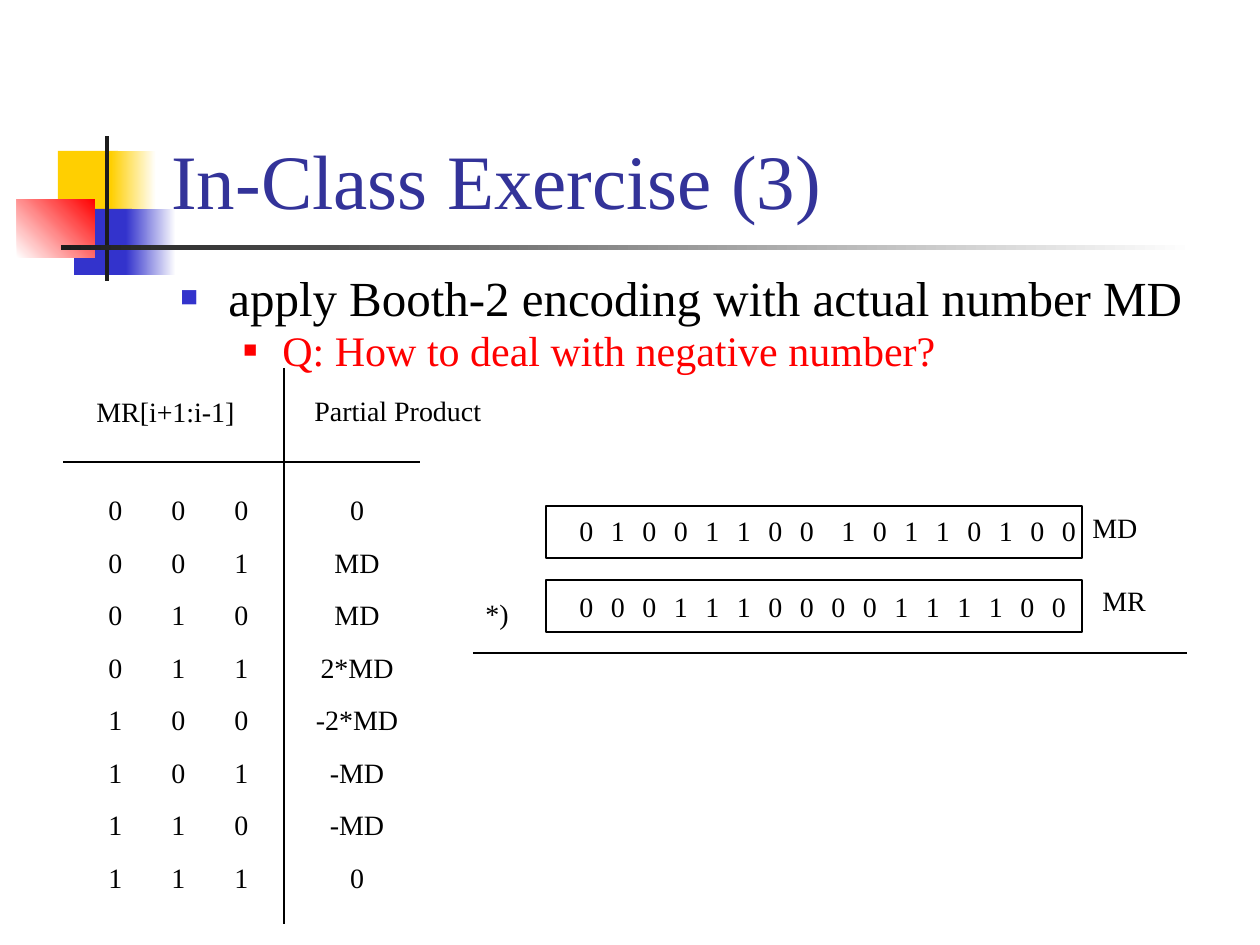
from dataclasses import dataclass

from lxml import etree
from pptx import Presentation
from pptx.dml.color import RGBColor
from pptx.enum.shapes import MSO_CONNECTOR, MSO_SHAPE
from pptx.enum.text import MSO_ANCHOR, PP_ALIGN
from pptx.oxml.ns import qn
from pptx.util import Pt

SCALE = 914400 / 126  # EMU per px
RECTANGLE = MSO_SHAPE.RECTANGLE
STRAIGHT = MSO_CONNECTOR.STRAIGHT
TOP, MIDDLE, BOTTOM = MSO_ANCHOR.TOP, MSO_ANCHOR.MIDDLE, MSO_ANCHOR.BOTTOM
LEFT, CENTER = PP_ALIGN.LEFT, PP_ALIGN.CENTER


@dataclass(frozen=True)
class Theme:
    font: str = "Times New Roman"
    white: str = "FFFFFF"
    black: str = "000000"
    title: str = "333399"
    yellow: str = "FFCF01"
    blue: str = "3333CC"
    red: str = "FF0000"
    bar: str = "1C1C1C"
    title_size: int = 44
    body_size: int = 28
    question_size: int = 24
    label_size: int = 16
    line_width: float = 0.75


THEME = Theme()

# Left, top, width, height, colours from start to end, angle
ORNAMENT = [
    (58, 151, 60, 66, [THEME.yellow], 0),
    (111, 151, 45, 66, [THEME.yellow, THEME.white], 0),
    (74, 209, 58, 66, [THEME.blue], 0),
    (126, 209, 50, 66, [THEME.blue, THEME.white], 0),
    (17, 199, 78, 59, [THEME.white, THEME.red], 45),
    (105, 136, 4, 145, [THEME.bar], 0),
    (61, 245, 1134, 5, [THEME.bar, THEME.white], 0),
]

# Text, size, text colour, bullet colour, bullet size in %, left margin, hanging
BODY = [
    ("apply Booth-2 encoding with actual number MD",
     THEME.body_size, THEME.black, THEME.blue, 60, 48, 48),
    ("Q: How to deal with negative number?",
     THEME.question_size, THEME.red, THEME.red, 55, 102, 39),
]

PARTIAL_PRODUCTS = ["0", "MD", "MD", "2*MD", "-2*MD", "-MD", "-MD", "0"]

# Left, top, digits of each half of an operand
OPERAND_HALVES = [
    (567, 514, "01001100"),
    (829, 514, "10110100"),
    (567, 590, "00011100"),
    (819, 590, "00111100"),
]

# Left, top, width, text
LABELS = [
    (84, 388, 165, "MR[i+1:i-1]"),
    (302, 387, 193, "Partial Product"),
    (1080, 504, 71, "MD"),
    (473, 590, 49, "*)"),
    (1090, 577, 69, "MR"),
]

# Start x, start y, end x, end y
RULES = [
    (63, 462, 420, 462),
    (284, 368, 284, 924),
    (473, 653, 1187, 653),
]


def px(*lengths):
    return [round(length * SCALE) for length in lengths]


def rgb(color):
    return RGBColor.from_string(color)


def apply_format(target, values):
    for name, value in values.items():
        setattr(target, name, value)


def add_rectangle(slide, left, top, width, height, colors=(), angle=0):
    """A filled bar without an outline, or an outlined box if no colour is given."""
    shape = slide.shapes.add_shape(RECTANGLE, *px(left, top, width, height))
    shape.shadow.inherit = False
    if not colors:
        shape.fill.background()
        shape.line.color.rgb = rgb(THEME.black)
        shape.line.width = Pt(THEME.line_width)
        return
    shape.line.fill.background()
    if len(colors) == 1:
        shape.fill.solid()
        shape.fill.fore_color.rgb = rgb(colors[0])
    else:
        shape.fill.gradient()
        shape.fill.gradient_angle = angle
        for stop, color in zip(shape.fill.gradient_stops, colors):
            stop.color.rgb = rgb(color)


def add_rule(slide, *ends):
    connector = slide.shapes.add_connector(STRAIGHT, *px(*ends))
    connector.line.color.rgb = rgb(THEME.black)
    connector.line.width = Pt(THEME.line_width)
    properties = connector._element.find(qn("p:spPr"))
    etree.SubElement(properties, qn("a:effectLst"))


def add_frame(slide, box, anchor=TOP, wrap=False):
    frame = slide.shapes.add_textbox(*px(*box)).text_frame
    apply_format(frame, {"word_wrap": wrap, "vertical_anchor": anchor})
    return frame


def write(paragraph, text, size, color=THEME.black, align=LEFT):
    paragraph.alignment = align
    run = paragraph.add_run()
    run.text = text
    apply_format(run.font, {"name": THEME.font, "size": Pt(size)})
    run.font.color.rgb = rgb(color)


def add_label(slide, left, top, width, text):
    frame = add_frame(slide, (left, top, width, 47))
    write(frame.paragraphs[0], text, THEME.label_size)


def add_cell(slide, left, top, width, height, text):
    frame = add_frame(slide, (left, top, width, height), MIDDLE)
    write(frame.paragraphs[0], text, THEME.label_size, align=CENTER)


def set_bullet(paragraph, color, percent, margin, hanging):
    properties = paragraph._p.get_or_add_pPr()
    margin, hanging = px(margin, hanging)
    properties.set("marL", str(margin))
    properties.set("indent", str(-hanging))
    bullet_color = etree.SubElement(properties, qn("a:buClr"))
    etree.SubElement(bullet_color, qn("a:srgbClr"), val=color)
    etree.SubElement(properties, qn("a:buSzPct"), val=str(percent * 1000))
    etree.SubElement(properties, qn("a:buFont"), typeface=THEME.font)
    etree.SubElement(properties, qn("a:buChar"), char="■")


def add_body(slide):
    frame = add_frame(slide, (168, 273, 1071, 116), wrap=True)
    for index, (text, size, color, *bullet) in enumerate(BODY):
        paragraph = frame.add_paragraph() if index else frame.paragraphs[0]
        write(paragraph, text, size, color)
        apply_format(paragraph, {
            "level": index, "line_spacing": 0.8, "space_before": Pt(size * 0.2)})
        set_bullet(paragraph, *bullet)


def add_encoding_table(slide):
    for row, product in enumerate(PARTIAL_PRODUCTS):
        top = 483 + row * 105 / 2
        for column, bit in enumerate(f"{row:03b}"):
            add_cell(slide, 84 + 63 * column, top, 63, 53, bit)
        add_cell(slide, 273, top, 168, 53, product)


def add_operands(slide):
    for top in (506, 580):
        add_rectangle(slide, 546, top, 536, 52)
    for left, top, digits in OPERAND_HALVES:
        for index, digit in enumerate(digits):
            add_cell(slide, left + index * 63 / 2, top, 32, 32, digit)


def main():
    presentation = Presentation()
    presentation.slide_width, presentation.slide_height = px(1260, 945)
    slide = presentation.slides.add_slide(presentation.slide_layouts[6])

    # Ornament, title and bullets
    for bar in ORNAMENT:
        add_rectangle(slide, *bar)
    title = add_frame(slide, (159, 29, 1074, 202), BOTTOM, wrap=True)
    write(title.paragraphs[0], "In-Class Exercise (3)", THEME.title_size, THEME.title)
    add_body(slide)

    # Encoding table and multiplication
    add_encoding_table(slide)
    add_operands(slide)
    for rule in RULES:
        add_rule(slide, *rule)
    for label in LABELS:
        add_label(slide, *label)

    presentation.save("out.pptx")


if __name__ == "__main__":
    main()
